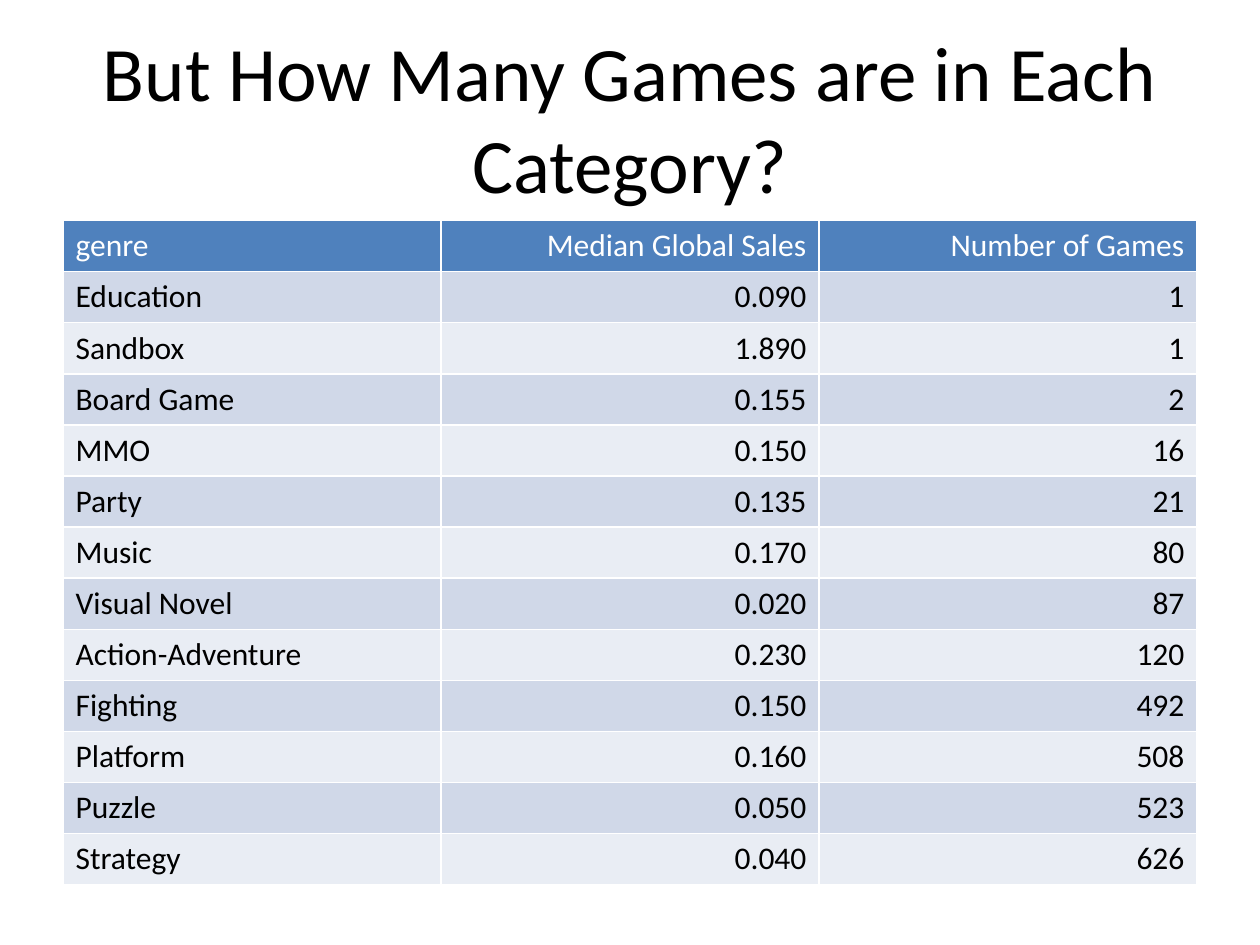
from pptx import Presentation
from pptx.dml.color import RGBColor
from pptx.enum.text import MSO_ANCHOR, PP_ALIGN
from pptx.util import Inches, Pt

COLORS = {
    "header": "4F81BD",
    "odd": "D0D8E8",
    "even": "E9EDF4",
    "light": "FFFFFF",
    "dark": "000000",
}
FONT = "Calibri"
MARGIN, ROW_HEIGHT = 0.5, 0.38

GENRES = [
    ("genre", "Median Global Sales", "Number of Games"),
    ("Education", "0.090", "1"),
    ("Sandbox", "1.890", "1"),
    ("Board Game", "0.155", "2"),
    ("MMO", "0.150", "16"),
    ("Party", "0.135", "21"),
    ("Music", "0.170", "80"),
    ("Visual Novel", "0.020", "87"),
    ("Action-Adventure", "0.230", "120"),
    ("Fighting", "0.150", "492"),
    ("Platform", "0.160", "508"),
    ("Puzzle", "0.050", "523"),
    ("Strategy", "0.040", "626"),
]


def write(frame, text, size, color, align):
    frame.text = text
    paragraph = frame.paragraphs[0]
    paragraph.alignment = align
    font = paragraph.runs[0].font
    font.name, font.size, font.bold = FONT, Pt(size), False
    font.color.rgb = RGBColor.from_string(COLORS[color])


prs = Presentation()
prs.slide_width, prs.slide_height = Inches(10), Inches(7.5)
slide = prs.slides.add_slide(prs.slide_layouts[5])
content_width = prs.slide_width - 2 * Inches(MARGIN)

# Title
title = slide.shapes.title
title.left, title.top = Inches(MARGIN), Inches(0.3)
title.width, title.height = content_width, Inches(1.25)
title.text_frame.vertical_anchor = MSO_ANCHOR.MIDDLE
write(title.text_frame, "But How Many Games are in Each Category?",
      44, "dark", PP_ALIGN.CENTER)

# Genre table: equal columns, banded rows, white rules from the table style
table = slide.shapes.add_table(
    len(GENRES), len(GENRES[0]), Inches(MARGIN), Inches(1.75),
    content_width, Inches(ROW_HEIGHT * len(GENRES))).table

for r, record in enumerate(GENRES):
    table.rows[r].height = Inches(ROW_HEIGHT)
    band = "header" if r == 0 else ("odd" if r % 2 else "even")
    for c, value in enumerate(record):
        cell = table.cell(r, c)
        cell.fill.solid()
        cell.fill.fore_color.rgb = RGBColor.from_string(COLORS[band])
        write(cell.text_frame, value, 18, "dark" if r else "light",
              PP_ALIGN.RIGHT if c else PP_ALIGN.LEFT)

prs.save("out.pptx")
